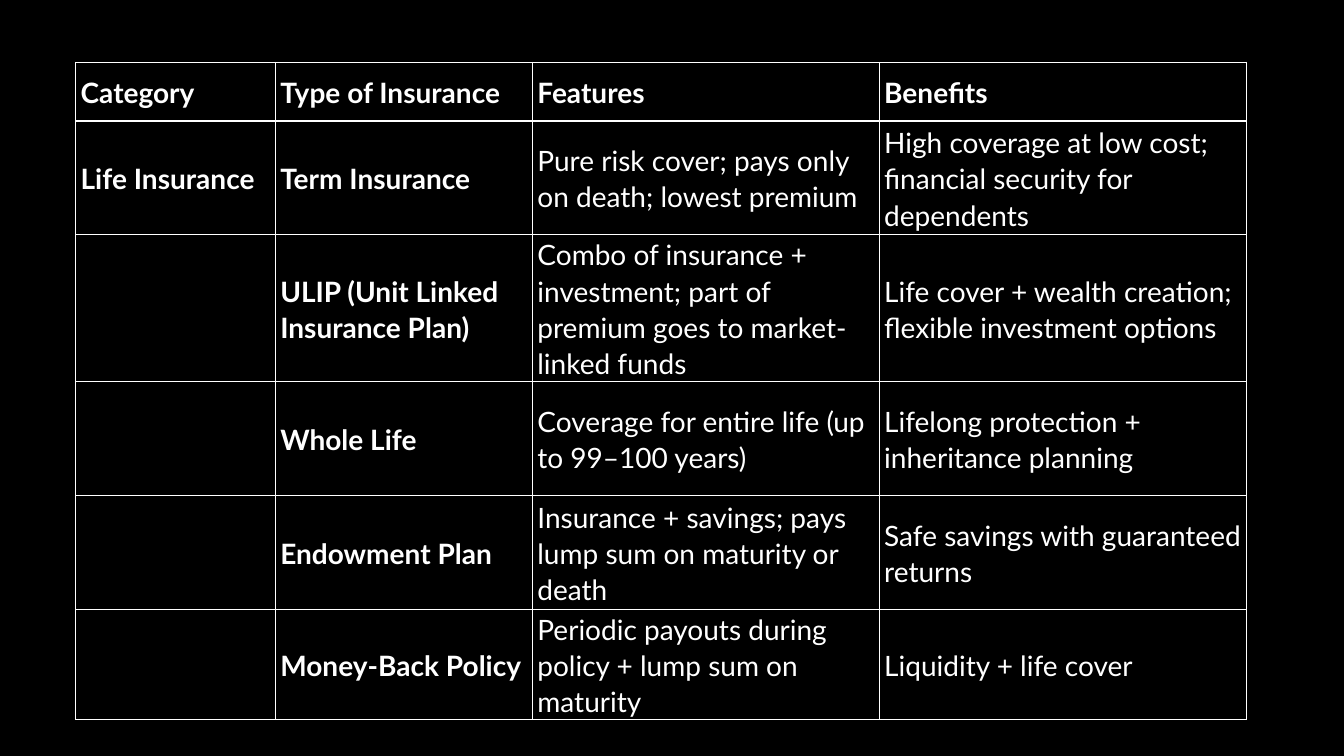
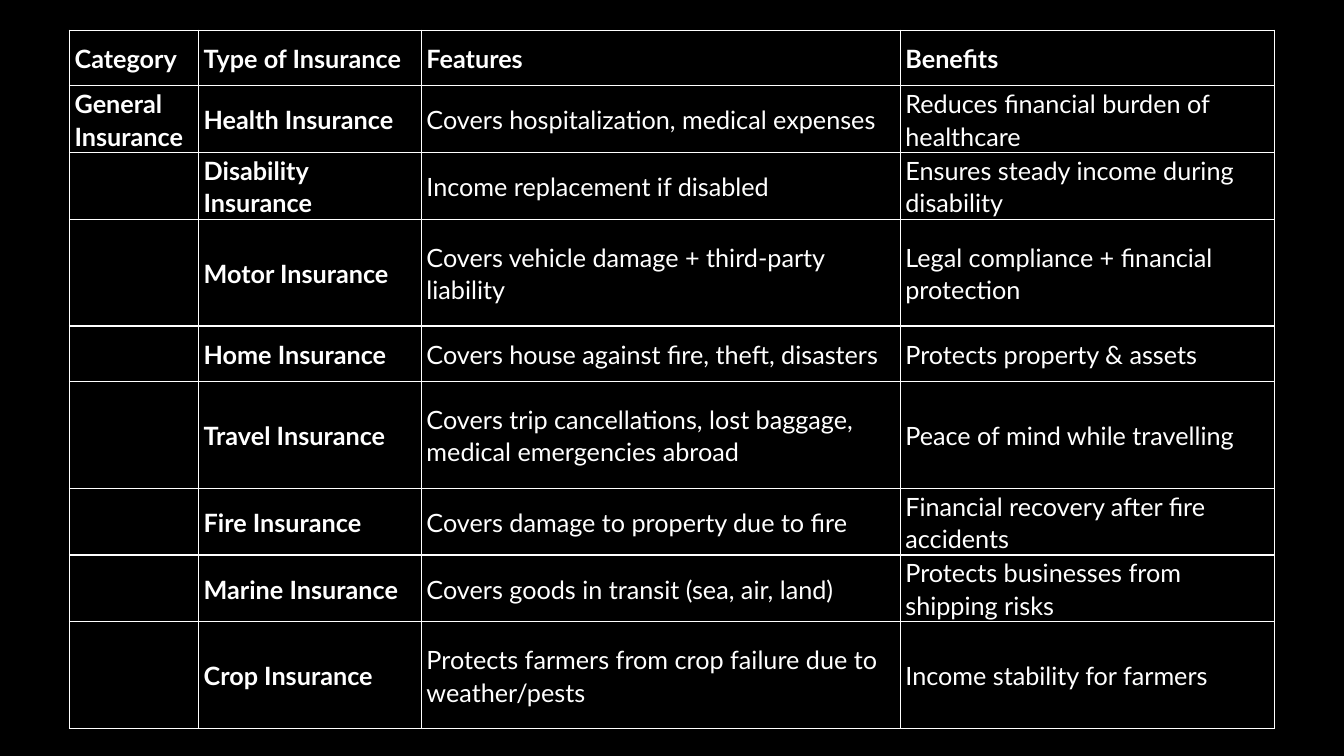
from lxml import etree
from pptx import Presentation
from pptx.dml.color import RGBColor
from pptx.enum.text import MSO_ANCHOR
from pptx.oxml.ns import qn
from pptx.util import Inches, Pt

MIDDLE = MSO_ANCHOR.MIDDLE
BLACK = RGBColor(0x00, 0x00, 0x00)
WHITE = RGBColor(0xFF, 0xFF, 0xFF)
FONT = "Lato"
BLANK_LAYOUT = 6
BOLD_COLUMNS = 2
CELL_MARGIN = Inches(0.01)
TEXT_INDENT = Inches(0.04)
BORDER_WIDTH = Pt(1)

HEADER = ("Category", "Type of Insurance", "Features", "Benefits")

# Each row: height in inches, type of insurance, features, benefits
LIFE = {
    "category": "Life Insurance",
    "left": 0.75, "top": 0.62, "size": 20, "header_height": 0.58,
    "columns": (1.98, 2.55, 3.44, 3.64),
    "rows": [
        (1.13, "Term Insurance", "Pure risk cover; pays only on death; lowest premium",
         "High coverage at low cost; financial security for dependents"),
        (1.45, "ULIP (Unit Linked Insurance Plan)",
         "Combo of insurance + investment; part of premium goes to market-linked funds",
         "Life cover + wealth creation; flexible investment options"),
        (1.13, "Whole Life", "Coverage for entire life (up to 99–100 years)",
         "Lifelong protection + inheritance planning"),
        (1.13, "Endowment Plan", "Insurance + savings; pays lump sum on maturity or death",
         "Safe savings with guaranteed returns"),
        (1.09, "Money-Back Policy", "Periodic payouts during policy + lump sum on maturity",
         "Liquidity + life cover"),
    ],
}

GENERAL = {
    "category": "General Insurance",
    "left": 0.69, "top": 0.3, "size": 18, "header_height": 0.55,
    "columns": (1.28, 2.21, 4.75, 3.71),
    "rows": [
        (0.66, "Health Insurance", "Covers hospitalization, medical expenses",
         "Reduces financial burden of healthcare"),
        (0.66, "Disability Insurance", "Income replacement if disabled",
         "Ensures steady income during disability"),
        (1.06, "Motor Insurance", "Covers vehicle damage + third-party liability",
         "Legal compliance + financial protection"),
        (0.55, "Home Insurance", "Covers house against fire, theft, disasters",
         "Protects property & assets"),
        (1.06, "Travel Insurance",
         "Covers trip cancellations, lost baggage, medical emergencies abroad",
         "Peace of mind while travelling"),
        (0.66, "Fire Insurance", "Covers damage to property due to fire",
         "Financial recovery after fire accidents"),
        (0.66, "Marine Insurance", "Covers goods in transit (sea, air, land)",
         "Protects businesses from shipping risks"),
        (1.06, "Crop Insurance", "Protects farmers from crop failure due to weather/pests",
         "Income stability for farmers"),
    ],
}


def add_borders(cell):
    properties = cell._tc.get_or_add_tcPr()
    for position, side in enumerate(("lnL", "lnR", "lnT", "lnB")):
        line = etree.Element(qn(f"a:{side}"), w=str(BORDER_WIDTH))
        fill = etree.SubElement(line, qn("a:solidFill"))
        etree.SubElement(fill, qn("a:srgbClr"), val=str(WHITE))
        properties.insert(position, line)


def fill_cell(cell, text, size, bold):
    cell.fill.background()
    add_borders(cell)
    cell.vertical_anchor = MIDDLE
    cell.margin_left = cell.margin_right = CELL_MARGIN
    cell.margin_top = cell.margin_bottom = CELL_MARGIN
    if not text:
        return
    cell.text = text
    para = cell.text_frame.paragraphs[0]
    para._p.get_or_add_pPr().set("marL", str(TEXT_INDENT))
    para.line_spacing = 1.07
    para.space_after = Pt(8)
    font = para.font
    font.name, font.size, font.bold = FONT, Pt(size), bold
    font.color.rgb = WHITE


def add_insurance_page(deck, content):
    page = deck.slides.add_slide(deck.slide_layouts[BLANK_LAYOUT])
    page.background.fill.solid()
    page.background.fill.fore_color.rgb = BLACK

    # The category is named only in the first row below the header
    texts, heights = [HEADER], [content["header_height"]]
    for index, (height, *details) in enumerate(content["rows"]):
        texts.append((content["category"] if index == 0 else "", *details))
        heights.append(height)

    widths = content["columns"]
    table = page.shapes.add_table(
        len(texts), len(widths), Inches(content["left"]), Inches(content["top"]),
        Inches(sum(widths)), Inches(sum(heights))).table
    table.first_row = table.horz_banding = False
    for column, width in zip(table.columns, widths):
        column.width = Inches(width)
    for row_index, (row, height) in enumerate(zip(table.rows, heights)):
        row.height = Inches(height)
        for column_index, cell in enumerate(row.cells):
            bold = row_index == 0 or column_index < BOLD_COLUMNS
            fill_cell(cell, texts[row_index][column_index], content["size"], bold)


def main():
    deck = Presentation()
    deck.slide_width, deck.slide_height = Inches(13.33), Inches(7.5)
    for content in (LIFE, GENERAL):
        add_insurance_page(deck, content)
    deck.save("out.pptx")


if __name__ == "__main__":
    main()
